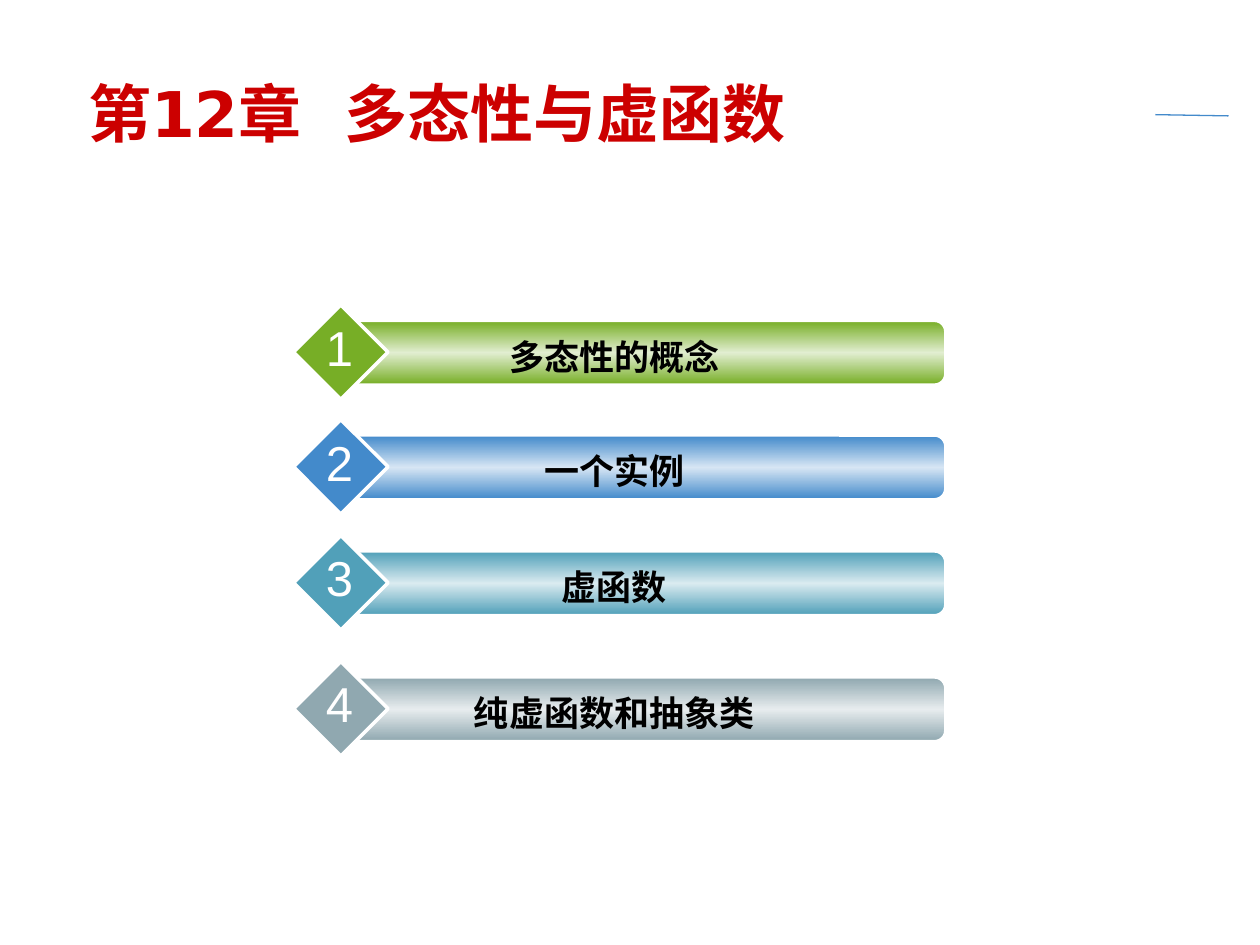
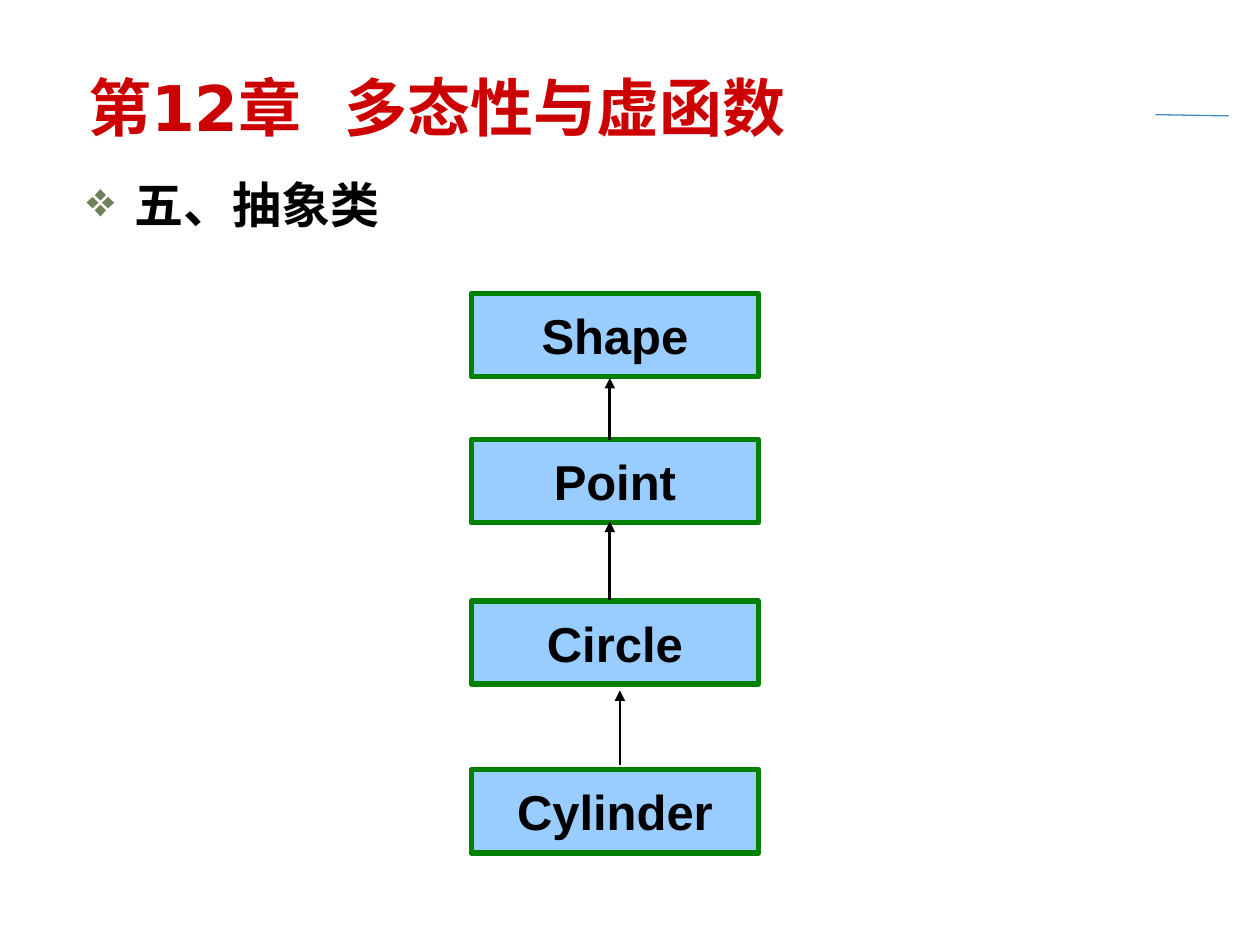
from lxml import etree
from copy import deepcopy
from pptx import Presentation
from pptx.dml.color import RGBColor
from pptx.enum.shapes import MSO_CONNECTOR, MSO_SHAPE
from pptx.enum.text import MSO_ANCHOR, MSO_AUTO_SIZE, PP_ALIGN
from pptx.oxml.ns import qn
from pptx.util import Inches, Pt

LEFT, CENTER = PP_ALIGN.LEFT, PP_ALIGN.CENTER
TOP, MIDDLE = MSO_ANCHOR.TOP, MSO_ANCHOR.MIDDLE
RECTANGLE, ROUNDED, DIAMOND = (
    MSO_SHAPE.RECTANGLE, MSO_SHAPE.ROUNDED_RECTANGLE, MSO_SHAPE.DIAMOND)
STRAIGHT = MSO_CONNECTOR.STRAIGHT
NO_AUTOFIT = MSO_AUTO_SIZE.NONE
TITLE_ONLY = 5

# Content
CHAPTER = "第12章   多态性与虚函数"
SECTION = "五、抽象类"
TOPICS = [  # text, colour, top of the bar
    ("多态性的概念", "77AE26", 2.55),
    ("一个实例", "438ACB", 3.46),
    ("虚函数", "51A0B9", 4.38),
    ("纯虚函数和抽象类", "90A8B0", 5.38),
]
CLASSES = [("Shape", 2.33), ("Point", 3.49), ("Circle", 4.77), ("Cylinder", 6.11)]
INHERITANCE_ARROWS = [(4.84, 3.49, 3), (4.84, 4.76, 4.14), (4.92, 6.07, 5.48)]

# Shared style
BODY_FONT, TITLE_FONT = "Arial", "DejaVu Sans"
BLACK, WHITE, TITLE_RED, RULE_BLUE = "000000", "FFFFFF", "CC0000", "438ACB"
BULLET_GREEN, BOX_FILL, BOX_LINE = "6E815B", "99CCFF", "008000"
BOX_LEFT, BOX_WIDTH, BOX_HEIGHT = 3.74, 2.28, 0.66


def color(hex_code):
    return RGBColor.from_string(hex_code)


def lighten(hex_code, kept=0.213):
    """Mix a colour with white, keeping the given share of it."""
    channels = bytes.fromhex(hex_code)
    return "".join(f"{round(255 - kept * (255 - c)):02X}" for c in channels)


def write(shape, text, size, font=BODY_FONT, ink=BLACK, bold=False,
          align=CENTER, anchor=TOP, wrap=True):
    frame = shape.text_frame
    frame.auto_size = NO_AUTOFIT
    frame.word_wrap = wrap
    frame.vertical_anchor = anchor
    paragraph = frame.paragraphs[0]
    paragraph.alignment = align
    run = paragraph.add_run()
    run.text = text
    run.font.name, run.font.size, run.font.bold = font, Pt(size), bold
    run.font.color.rgb = color(ink)
    return paragraph


def add_text(shapes, box, text, size, **text_format):
    return write(shapes.add_textbox(*map(Inches, box)), text, size, **text_format)


def add_box(shapes, kind, box, fill, line, width):
    shape = shapes.add_shape(kind, *map(Inches, box))
    shape.shadow.inherit = False
    shape.fill.solid()
    shape.fill.fore_color.rgb = color(fill)
    shape.line.color.rgb = color(line)
    shape.line.width = Pt(width)
    return shape


def fill_with_sheen(shape, hex_code):
    """Fill from the colour to a light middle and back, top to bottom."""
    shape.fill.gradient()
    shape.fill.gradient_angle = 90
    stop_list = shape.element.spPr.find(".//" + qn("a:gsLst"))
    stop_list.insert(1, deepcopy(stop_list[0]))
    shades = (hex_code, lighten(hex_code), hex_code)
    for stop, position, shade in zip(shape.fill.gradient_stops, (0, 0.5, 1), shades):
        stop.position = position
        stop.color.rgb = color(shade)


def add_line(shapes, start, end, ink, width, arrow=False):
    line = shapes.add_connector(STRAIGHT, *map(Inches, start + end))
    line.line.color.rgb = color(ink)
    line.line.width = Pt(width)
    properties = line.element.spPr
    if arrow:
        etree.SubElement(properties.find(qn("a:ln")), qn("a:tailEnd"), type="triangle")
    etree.SubElement(properties, qn("a:effectLst"))


def set_bullet(paragraph, symbol, ink, indent):
    properties = paragraph._p.get_or_add_pPr()
    properties.set("marL", str(Inches(indent)))
    properties.set("indent", str(-Inches(indent)))
    bullet_color = etree.SubElement(properties, qn("a:buClr"))
    etree.SubElement(bullet_color, qn("a:srgbClr"), val=ink)
    etree.SubElement(properties, qn("a:buChar"), char=symbol)


def add_chapter_slide(presentation, title_top, title_width):
    slide = presentation.slides.add_slide(presentation.slide_layouts[TITLE_ONLY])
    add_line(slide.shapes, (9.17, 0.91), (9.75, 0.92), RULE_BLUE, 0.75)
    title = slide.shapes.title
    title.left, title.top, title.width, title.height = map(
        Inches, (0.6, title_top, title_width, 0.62))
    write(title, CHAPTER, 36, font=TITLE_FONT, ink=TITLE_RED, bold=True,
          align=LEFT, anchor=MIDDLE)
    return slide


def build_contents(presentation):
    slide = add_chapter_slide(presentation, 0.58, 8.57)
    for number, (topic, hex_code, top) in enumerate(TOPICS, start=1):
        shapes = slide.shapes.add_group_shape().shapes
        bar = add_box(shapes, ROUNDED, (2.75, top, 4.75, 0.5), hex_code, WHITE, 1)
        fill_with_sheen(bar, hex_code)
        add_box(shapes, DIAMOND, (2.33, top - 0.13, 0.75, 0.75), hex_code, WHITE, 2)
        add_text(shapes, (3, top + 0.06, 3.75, 0.44), topic, 20, bold=True)
        add_text(shapes, (2.49, top - 0.08, 0.41, 0.57), str(number), 28,
                 ink=WHITE, wrap=False)


def build_class_hierarchy(presentation):
    slide = add_chapter_slide(presentation, 0.53, 8.49)
    section = add_text(slide.shapes, (0.59, 1.39, 9.14, 0.6), SECTION, 28,
                       font=TITLE_FONT, bold=True, align=LEFT)
    section.line_spacing = 0.9
    section.space_before = Pt(7)
    set_bullet(section, "❖", BULLET_GREEN, 0.38)

    shapes = slide.shapes.add_group_shape().shapes
    for name, top in CLASSES:
        box = add_box(shapes, RECTANGLE, (BOX_LEFT, top, BOX_WIDTH, BOX_HEIGHT),
                      BOX_FILL, BOX_LINE, 3)
        write(box, name, 28, bold=True, anchor=MIDDLE, wrap=False)
    for x, bottom, top in INHERITANCE_ARROWS:
        add_line(shapes, (x, bottom), (x, top), BLACK, 1.5, arrow=True)


def main():
    presentation = Presentation()
    presentation.slide_width, presentation.slide_height = Inches(10), Inches(7.5)
    build_contents(presentation)
    build_class_hierarchy(presentation)
    presentation.save("out.pptx")


if __name__ == "__main__":
    main()
